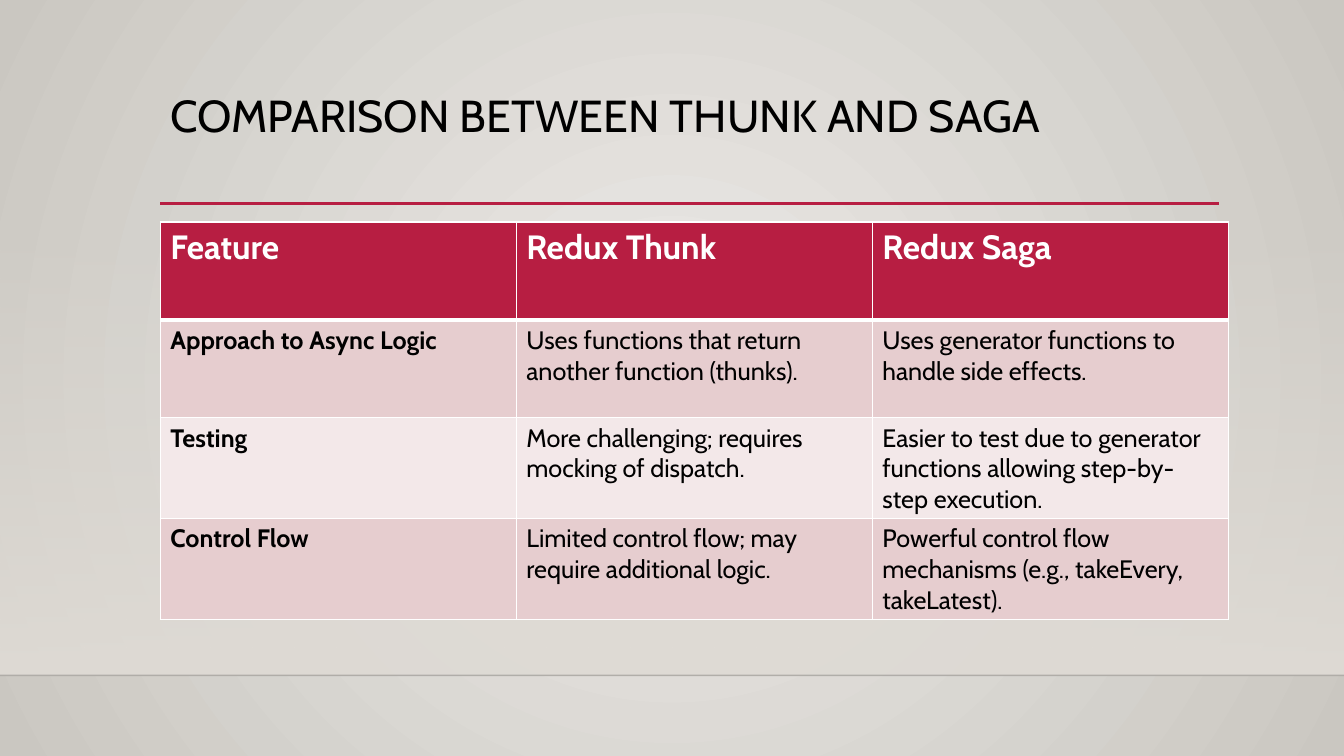
from dataclasses import dataclass

from lxml.etree import SubElement
from pptx import Presentation
from pptx.dml.color import RGBColor
from pptx.enum.shapes import MSO_CONNECTOR, MSO_SHAPE
from pptx.enum.text import MSO_ANCHOR
from pptx.oxml.ns import qn
from pptx.util import Pt


@dataclass(frozen=True)
class Theme:
    """Colours, font and type sizes of the slide."""
    font: str = "Cabin"
    black: str = "000000"
    white: str = "FFFFFF"
    crimson: str = "B71E42"
    rose: str = "E6CDCF"
    blush: str = "F3E8E9"
    sand: str = "DFDBD5"
    glow: str = "ECEAE7"
    rim: str = "CAC7C1"
    title_size: int = 32
    header_size: int = 24
    body_size: int = 18


THEME = Theme()
WIDTH, HEIGHT = 960, 540
LEFT = 114.5
FLOOR_TOP = 482.4
TABLE_TOP, COLUMN_WIDTH, ROW_HEIGHT = 158.6, 254.3, 69.9

ROWS = [
    ("Feature", "Redux Thunk", "Redux Saga"),
    ("Approach to Async Logic",
     "Uses functions that return another function (thunks).",
     "Uses generator functions to handle side effects."),
    ("Testing",
     "More challenging; requires mocking of dispatch.",
     "Easier to test due to generator functions allowing step-by-step execution."),
    ("Control Flow",
     "Limited control flow; may require additional logic.",
     "Powerful control flow mechanisms (e.g., takeEvery, takeLatest)."),
]


def set_alpha(color_element, percent):
    """Give a colour element an opacity in percent."""
    SubElement(color_element, qn("a:alpha"), val=str(percent * 1000))


def set_gradient(fill, first, last):
    """Turn a fill into a two-stop gradient."""
    fill.gradient()
    for stop, color, position in zip(fill.gradient_stops, (first, last), (0, 1)):
        stop.color.rgb = RGBColor.from_string(color)
        stop.position = position


def style_font(font, size, color, bold=False):
    """Set the typeface, size, colour and weight of a font."""
    font.name = THEME.font
    font.size = Pt(size)
    font.bold = bold
    font.color.rgb = RGBColor.from_string(color)


def add_background(page):
    """Light the page from its centre with a circular gradient."""
    fill = page.background.fill
    set_gradient(fill, THEME.glow, THEME.rim)
    gradient = next(page.element.iter(qn("a:gradFill")))
    gradient.remove(gradient.find(qn("a:lin")))
    circle = SubElement(gradient, qn("a:path"), path="circle")
    SubElement(circle, qn("a:fillToRect"), l="50000", t="50000", r="50000", b="50000")


def add_wall_fade(page):
    """Fade the lower wall into sand just above the floor."""
    top = 159.1
    wall = page.shapes.add_shape(
        MSO_SHAPE.RECTANGLE, Pt(0), Pt(top), Pt(WIDTH), Pt(FLOOR_TOP - top))
    wall.shadow.inherit = False
    wall.line.fill.background()
    set_gradient(wall.fill, THEME.sand, THEME.sand)
    wall.fill.gradient_angle = 270
    set_alpha(next(wall.element.iter(qn("a:srgbClr"))), 0)


def add_rule(page, left, right, y, color, width, opacity=100):
    """Draw a horizontal line."""
    rule = page.shapes.add_connector(
        MSO_CONNECTOR.STRAIGHT, Pt(left), Pt(y), Pt(right), Pt(y))
    rule.line.width = Pt(width)
    rule.line.color.rgb = RGBColor.from_string(color)
    properties = rule.element.spPr
    if opacity < 100:
        set_alpha(next(properties.iter(qn("a:srgbClr"))), opacity)
    SubElement(properties, qn("a:effectLst"))


def add_title(page, text):
    """Place the slide title."""
    box = page.shapes.add_textbox(Pt(LEFT), Pt(63.4), Pt(756), Pt(82.6))
    frame = box.text_frame
    frame.word_wrap = True
    frame.vertical_anchor = MSO_ANCHOR.TOP
    para = frame.paragraphs[0]
    para.text = text
    para.line_spacing = 0.9
    style_font(para.font, THEME.title_size, THEME.black)


def add_borders(cell, top, bottom):
    """Outline a cell in white, with its own top and bottom widths."""
    properties = cell._tc.get_or_add_tcPr()
    for side, width in (("L", 1), ("R", 1), ("T", top), ("B", bottom)):
        line = SubElement(properties, qn(f"a:ln{side}"), w=str(Pt(width)))
        fill = SubElement(line, qn("a:solidFill"))
        SubElement(fill, qn("a:srgbClr"), val=THEME.white)


def fill_cell(cell, text, row, column):
    """Write and style one cell according to its place in the table."""
    header = row == 0
    add_borders(cell, top=3 if row == 1 else 1, bottom=3 if header else 1)
    band = THEME.rose if row % 2 else THEME.blush
    cell.fill.solid()
    cell.fill.fore_color.rgb = RGBColor.from_string(THEME.crimson if header else band)
    para = cell.text_frame.paragraphs[0]
    para.text = text
    style_font(
        para.font,
        THEME.header_size if header else THEME.body_size,
        THEME.white if header else THEME.black,
        bold=header or column == 0)


def add_comparison_table(page, rows):
    """Add the table with equal columns and equal rows."""
    row_count, column_count = len(rows), len(rows[0])
    table = page.shapes.add_table(
        row_count, column_count, Pt(LEFT), Pt(TABLE_TOP),
        Pt(COLUMN_WIDTH * column_count), Pt(ROW_HEIGHT * row_count)).table
    for row, texts in enumerate(rows):
        for column, text in enumerate(texts):
            fill_cell(table.cell(row, column), text, row, column)


def main():
    """Build and save the slide."""
    deck = Presentation()
    deck.slide_width, deck.slide_height = Pt(WIDTH), Pt(HEIGHT)
    page = deck.slides.add_slide(deck.slide_layouts[6])
    add_background(page)
    add_wall_fade(page)
    add_rule(page, 0, WIDTH, FLOOR_TOP, THEME.black, 1, opacity=20)
    add_rule(page, LEFT, 871, 145.4, THEME.crimson, 2.5)
    add_title(page, "COMPARISON BETWEEN THUNK AND SAGA")
    add_comparison_table(page, ROWS)
    deck.save("out.pptx")


if __name__ == "__main__":
    main()
